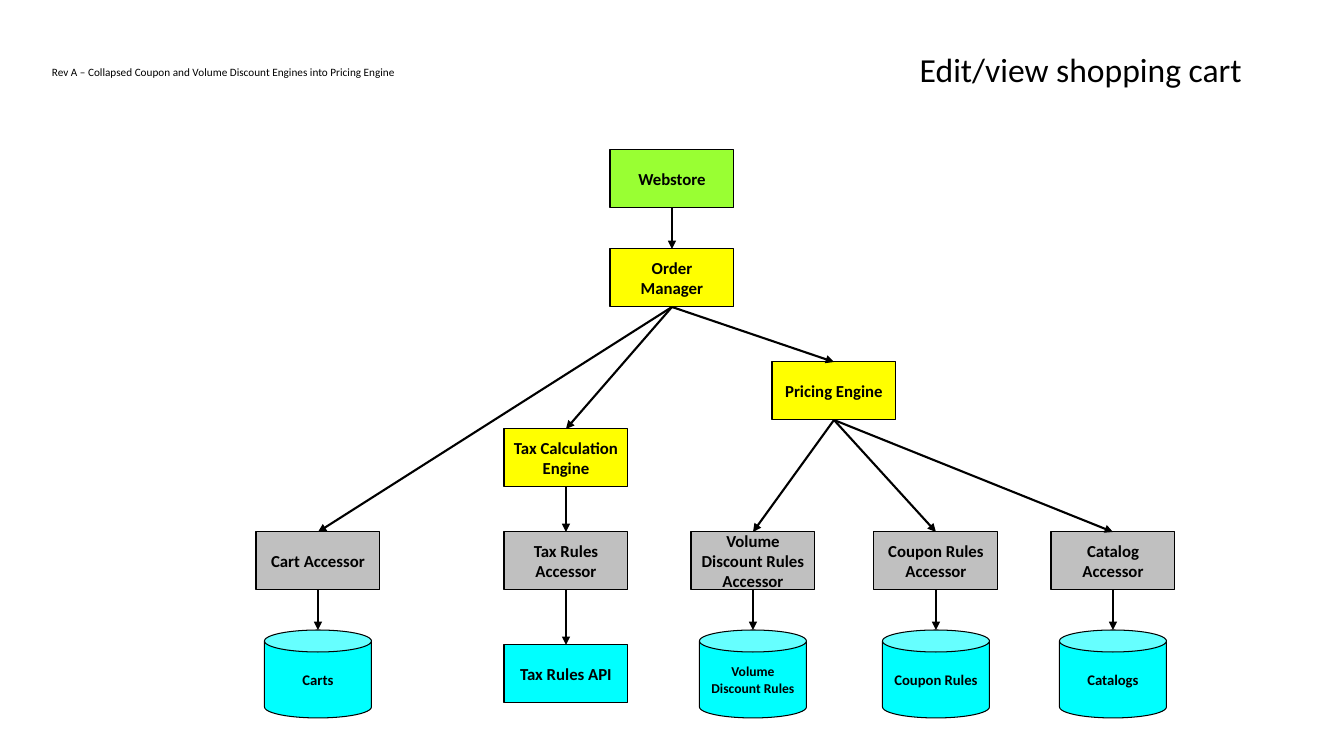
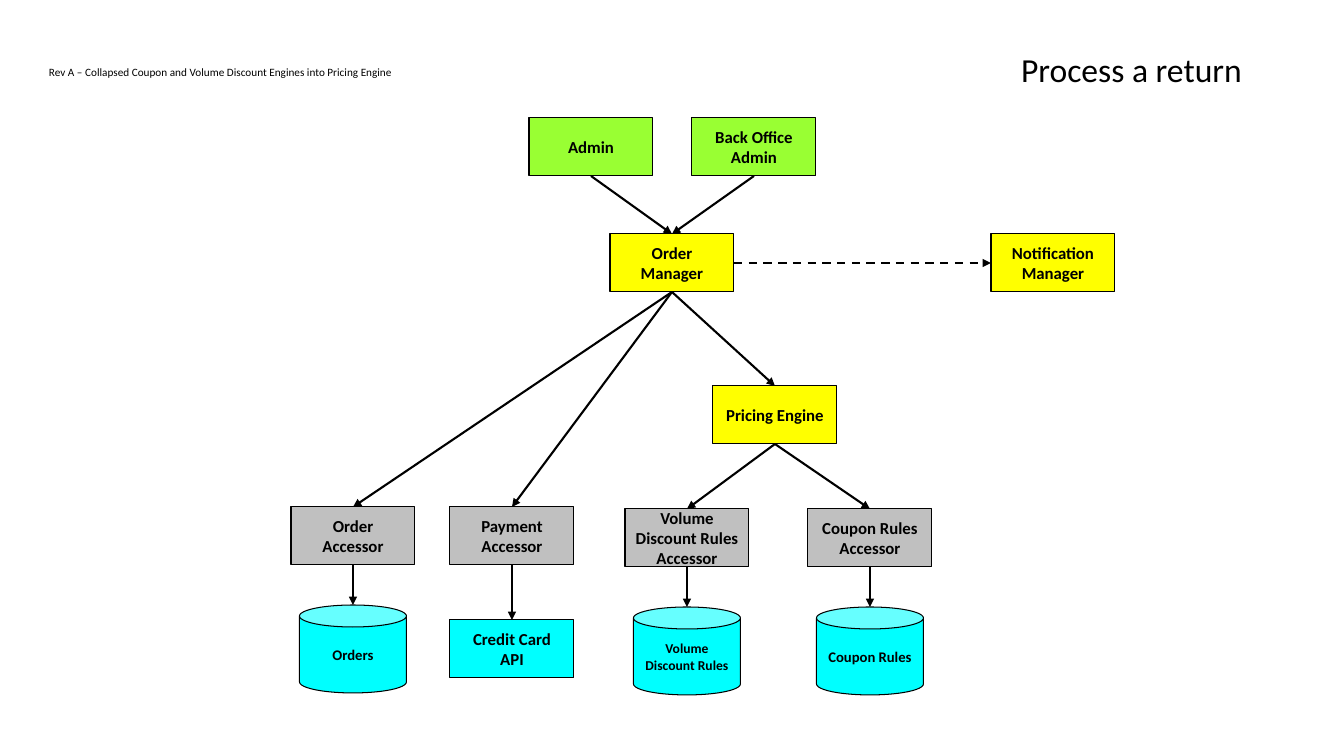
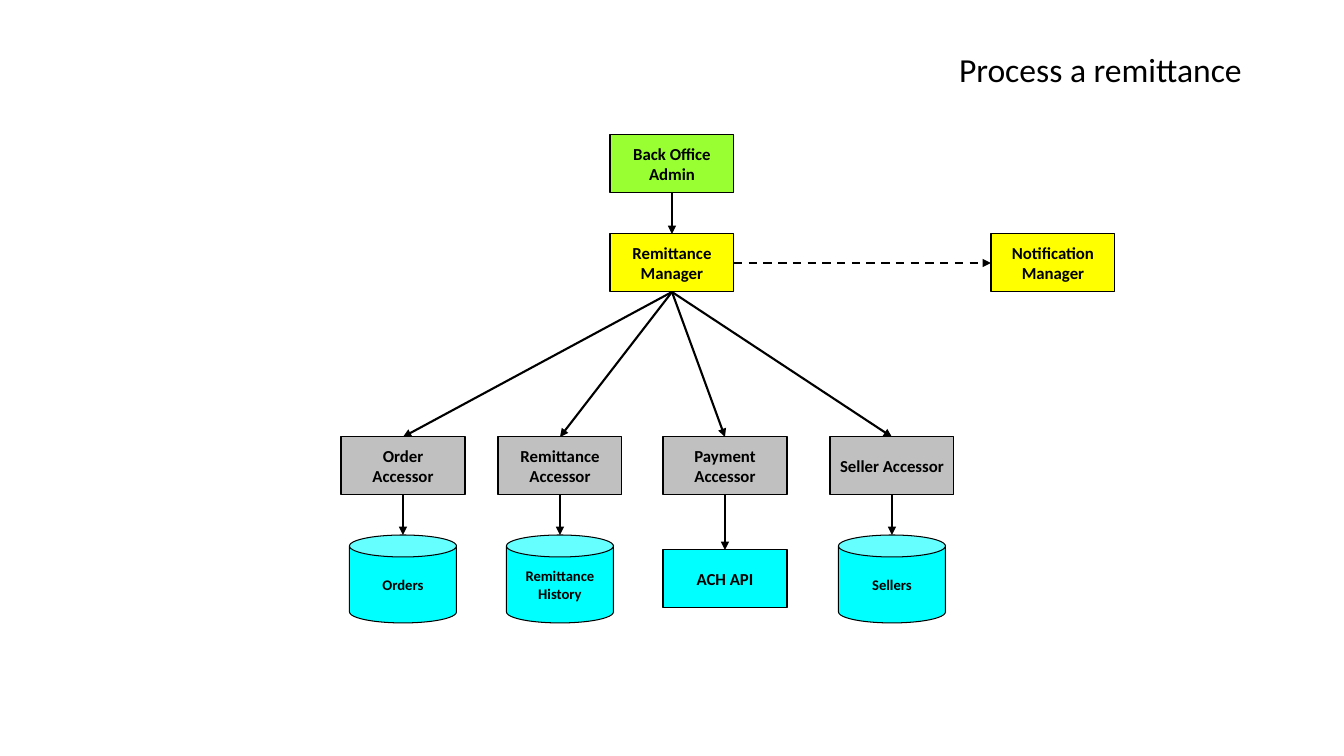
import pptx
import pptx.util
import pptx.dml.color
import pptx.enum.dml
import pptx.enum.shapes
import pptx.enum.text
import pptx.oxml.ns
import lxml.etree

RGBColor = pptx.dml.color.RGBColor
Shape = pptx.enum.shapes.MSO_SHAPE
Align = pptx.enum.text.PP_ALIGN

BLACK = RGBColor(0x00, 0x00, 0x00)
CLIENT = RGBColor(0x99, 0xFF, 0x33)
LOGIC = RGBColor(0xFF, 0xFF, 0x00)
ACCESSOR = RGBColor(0xC0, 0xC0, 0xC0)
RESOURCE = RGBColor(0x00, 0xFF, 0xFF)

FONT = "Calibri"
REVISION = "Rev A – Collapsed Coupon and Volume Discount Engines into Pricing Engine"
BACK_OFFICE = "Back Office\nAdmin"
VOLUME_ACCESSOR = "Volume Discount Rules Accessor"
VOLUME_RULES = "Volume Discount Rules"

SLIDES = [
    {
        "title": "Edit/view shopping cart",
        "note_left": 42,
        "boxes": [
            ("Webstore", CLIENT, 672, 150),
            ("Order Manager", LOGIC, 672, 249),
            ("Tax Calculation Engine", LOGIC, 566, 429),
            ("Pricing Engine", LOGIC, 834, 362),
        ],
        "columns": [
            ("Cart Accessor", "Carts", 318, 532),
            ("Tax Rules Accessor", "Tax Rules API", 566, 532),
            (VOLUME_ACCESSOR, VOLUME_RULES, 753, 532),
            ("Coupon Rules Accessor", "Coupon Rules", 936, 532),
            ("Catalog Accessor", "Catalogs", 1113, 532),
        ],
        "calls": [
            ("Webstore", ["Order Manager"]),
            ("Order Manager", ["Cart Accessor", "Tax Calculation Engine", "Pricing Engine"]),
            ("Tax Calculation Engine", ["Tax Rules Accessor"]),
            ("Pricing Engine", [VOLUME_ACCESSOR, "Coupon Rules Accessor", "Catalog Accessor"]),
        ],
        "events": [],
    },
    {
        "title": "Process a return",
        "note_left": 39,
        "boxes": [
            ("Admin", CLIENT, 591, 118),
            (BACK_OFFICE, CLIENT, 754, 118),
            ("Order Manager", LOGIC, 672, 234),
            ("Notification Manager", LOGIC, 1053, 234),
            ("Pricing Engine", LOGIC, 775, 386),
        ],
        "columns": [
            ("Order Accessor", "Orders", 353, 507),
            ("Payment Accessor", "Credit Card API", 512, 507),
            (VOLUME_ACCESSOR, VOLUME_RULES, 687, 509),
            ("Coupon Rules Accessor", "Coupon Rules", 870, 509),
        ],
        "calls": [
            ("Admin", ["Order Manager"]),
            (BACK_OFFICE, ["Order Manager"]),
            ("Order Manager", ["Order Accessor", "Payment Accessor", "Pricing Engine"]),
            ("Pricing Engine", [VOLUME_ACCESSOR, "Coupon Rules Accessor"]),
        ],
        "events": [("Order Manager", "Notification Manager")],
    },
    {
        "title": "Process a remittance",
        "note_left": None,
        "boxes": [
            (BACK_OFFICE, CLIENT, 672, 135),
            ("Remittance Manager", LOGIC, 672, 234),
            ("Notification Manager", LOGIC, 1053, 234),
        ],
        "columns": [
            ("Order Accessor", "Orders", 403, 437),
            ("Remittance Accessor", "Remittance History", 560, 437),
            ("Payment Accessor", "ACH API", 725, 437),
            ("Seller Accessor", "Sellers", 892, 437),
        ],
        "calls": [
            (BACK_OFFICE, ["Remittance Manager"]),
            ("Remittance Manager", ["Order Accessor", "Remittance Accessor",
                                    "Payment Accessor", "Seller Accessor"]),
        ],
        "events": [("Remittance Manager", "Notification Manager")],
    },
]

SCALE = 914400 / 100.8
BOX_SIZE = (124, 58)
CAN_SIZE = (107, 88)
CAN_DROP = 98
API_DROP = 113
TOP, LEFT, BOTTOM, RIGHT = range(4)
CAN_TOP = 1


def emu(pixels):
    return round(pixels * SCALE)


def style_text(frame, size, align, bold=False):
    for para in frame.paragraphs:
        para.alignment = align
        para.font.name = FONT
        para.font.size = pptx.util.Pt(size)
        para.font.bold = bold
        para.font.color.rgb = BLACK


def add_node(page, text, fill, center, top, kind=Shape.RECTANGLE, size=12):
    width, height = CAN_SIZE if kind == Shape.CAN else BOX_SIZE
    node = page.shapes.add_shape(kind, emu(center - width / 2), emu(top), emu(width), emu(height))
    node.shadow.inherit = False
    node.fill.solid()
    node.fill.fore_color.rgb = fill
    node.line.color.rgb = BLACK
    node.line.width = pptx.util.Pt(0.75)
    frame = node.text_frame
    frame.text = text
    frame.word_wrap = fill != CLIENT
    frame.vertical_anchor = pptx.enum.text.MSO_ANCHOR.MIDDLE
    style_text(frame, size, Align.CENTER, bold=True)
    return node


def add_arrow(page, source, target, source_side=BOTTOM, target_side=TOP, dashed=False):
    arrow = page.shapes.add_connector(pptx.enum.shapes.MSO_CONNECTOR.STRAIGHT, 0, 0, 0, 0)
    arrow.begin_connect(source, source_side)
    if target.auto_shape_type == Shape.CAN:
        arrow.end_connect(target, CAN_TOP)
        arrow.end_x = target.left + target.width // 2
        arrow.end_y = target.top
    else:
        arrow.end_connect(target, target_side)
    arrow.line.color.rgb = BLACK
    arrow.line.width = pptx.util.Pt(1.5)
    if dashed:
        arrow.line.dash_style = pptx.enum.dml.MSO_LINE.DASH
    outline = arrow.line._get_or_add_ln()
    lxml.etree.SubElement(outline, pptx.oxml.ns.qn("a:tailEnd"), type="triangle")
    lxml.etree.SubElement(arrow._element.spPr, pptx.oxml.ns.qn("a:effectLst"))


def add_title(page, text):
    title = page.shapes.title
    title.left, title.top, title.width, title.height = map(emu, (93, 40, 1159, 64))
    frame = title.text_frame
    frame.text = text
    frame.auto_size = pptx.enum.text.MSO_AUTO_SIZE.NONE
    frame.vertical_anchor = pptx.enum.text.MSO_ANCHOR.MIDDLE
    frame.paragraphs[0].line_spacing = 0.9
    style_text(frame, 24, Align.RIGHT)


def add_note(page, left):
    note = page.shapes.add_textbox(*map(emu, (left, 60, 367, 24)))
    frame = note.text_frame
    frame.text = REVISION
    frame.word_wrap = False
    frame.auto_size = pptx.enum.text.MSO_AUTO_SIZE.SHAPE_TO_FIT_TEXT
    style_text(frame, 8, Align.LEFT)


def add_store(page, text, center, accessor_top):
    if text.endswith("API"):
        return add_node(page, text, RESOURCE, center, accessor_top + API_DROP)
    size = 9.7 if text == VOLUME_RULES else 10.5
    return add_node(page, text, RESOURCE, center, accessor_top + CAN_DROP, Shape.CAN, size)


def build_page(deck, content):
    page = deck.slides.add_slide(deck.slide_layouts.get_by_name("Title Only"))
    add_title(page, content["title"])
    nodes = {}
    for text, fill, center, top in content["boxes"]:
        nodes[text] = add_node(page, text, fill, center, top)
    for text, store_text, center, top in content["columns"]:
        nodes[text] = add_node(page, text, ACCESSOR, center, top)
        store = add_store(page, store_text, center, top)
        add_arrow(page, nodes[text], store)
    for caller, targets in content["calls"]:
        for target in targets:
            add_arrow(page, nodes[caller], nodes[target])
    for sender, receiver in content["events"]:
        add_arrow(page, nodes[sender], nodes[receiver], RIGHT, LEFT, dashed=True)
    if content["note_left"] is not None:
        add_note(page, content["note_left"])


deck = pptx.Presentation()
deck.slide_width, deck.slide_height = emu(1344), emu(756)
for content in SLIDES:
    build_page(deck, content)
deck.save("out.pptx")
